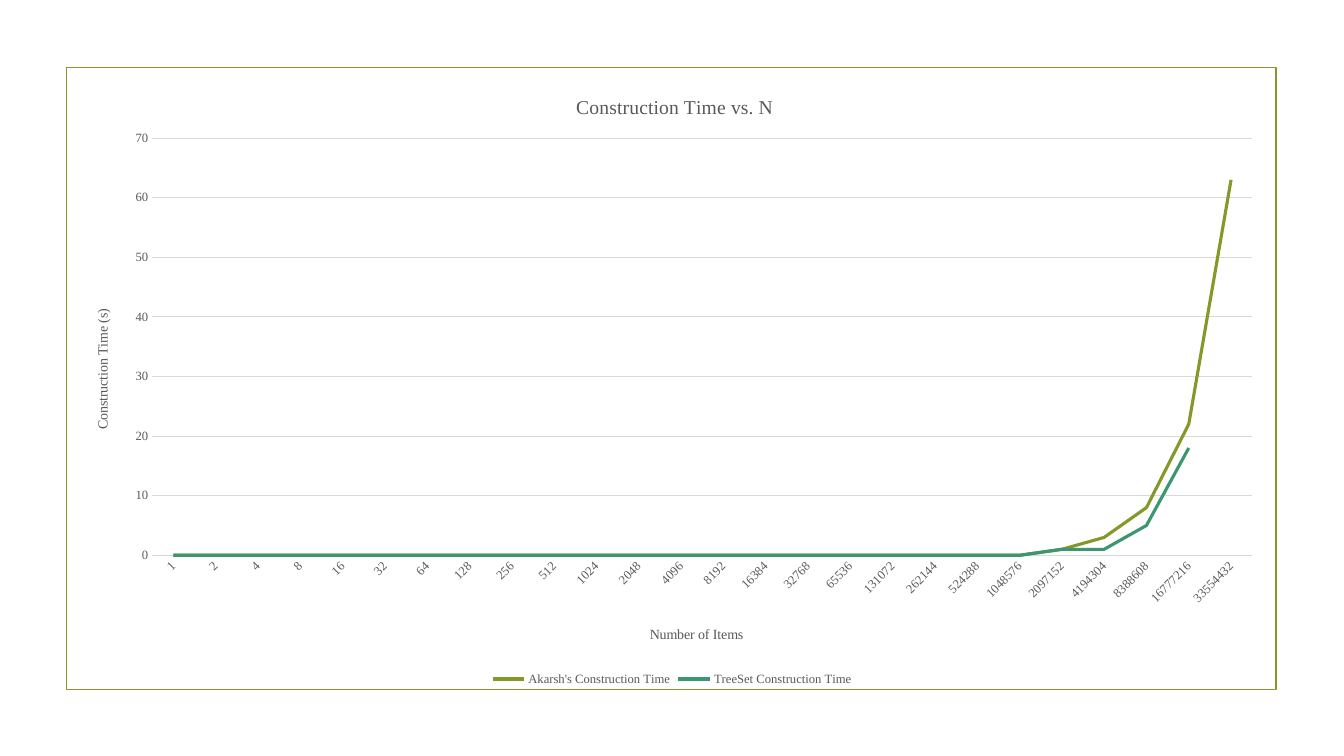
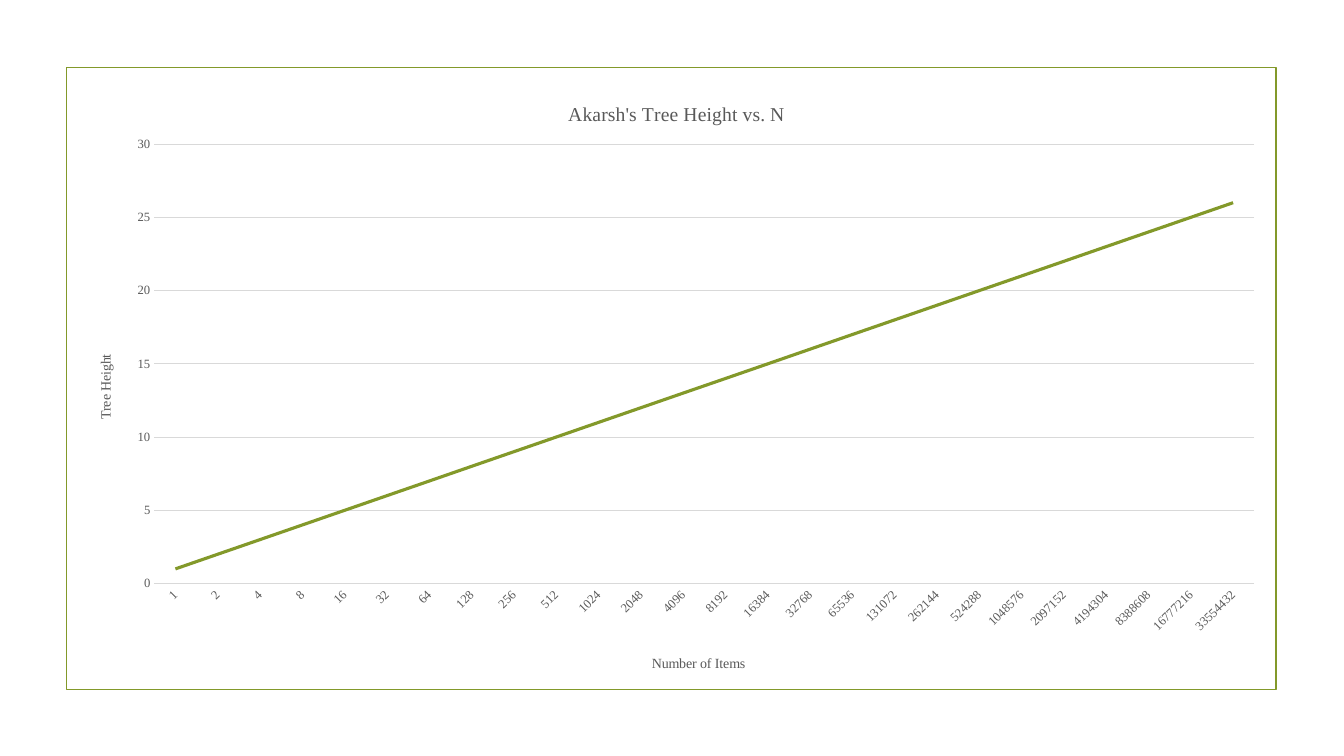
from lxml.etree import SubElement
from pptx import Presentation
from pptx.chart.data import CategoryChartData
from pptx.dml.color import RGBColor
from pptx.enum.chart import XL_CHART_TYPE as CHART, XL_LEGEND_POSITION as LEGEND
from pptx.enum.chart import XL_MARKER_STYLE as MARKER, XL_TICK_MARK as TICK
from pptx.enum.shapes import MSO_SHAPE as SHAPE
from pptx.oxml.ns import qn
from pptx.util import Emu, Pt

SCALE = 9144  # 100 px to the inch


def px(n):
    return Emu(n * SCALE)


def rgb(code):
    return RGBColor.from_string(code)


class Deck:
    """Shared style and the current slide."""
    FONT = "Times New Roman"
    TEXT, GRID = "595959", "D9D9D9"
    COLORS = ["83992A", "3C9770"]
    FRAME = (66, 67, 1200, 617)

    def __init__(self):
        self.prs = Presentation()
        self.prs.slide_width, self.prs.slide_height = px(1333), px(750)

    def slide(self):
        self.s = self.prs.slides.add_slide(self.prs.slide_layouts[6])
        self.frame()

    def frame(self):
        sp = self.s.shapes.add_shape(SHAPE.RECTANGLE, *map(px, self.FRAME))
        sp.shadow.inherit = False
        sp.fill.background()
        self.line(sp.line, self.COLORS[0], 1.25)

    def line(self, line, color, width):
        line.color.rgb = rgb(color)
        line.width = Pt(width)

    def font(self, font, size):
        font.name, font.size, font.bold = self.FONT, Pt(size), False
        font.color.rgb = rgb(self.TEXT)

    def place(self, parent, index, box, size):
        """Fix a chart part at box, in px from the chart's corner."""
        for old in parent.findall(qn("c:layout")):
            parent.remove(old)
        layout = parent.makeelement(qn("c:layout"))
        parent.insert(index, layout)
        manual = SubElement(layout, qn("c:manualLayout"))
        if len(box) == 4:
            SubElement(manual, qn("c:layoutTarget")).set("val", "inner")
        for tag in ("xMode", "yMode"):
            SubElement(manual, qn("c:" + tag)).set("val", "edge")
        for tag, n, total in zip("xywh", box, size * 2):
            SubElement(manual, qn("c:" + tag)).set("val", str(n / total))

    def chart_text(self, title, text, pt, pos, size, rot=0):
        tf = title.text_frame
        r = tf.paragraphs[0].add_run()
        r.text = text
        self.font(r.font, pt)
        body = title._element.find(".//" + qn("a:bodyPr"))
        body.set("rot", str(rot * 60000))
        body.set("vert", "horz")
        self.place(title._element, 1, pos, size)

    def axis(self, axis):
        axis.major_tick_mark = axis.minor_tick_mark = TICK.NONE
        self.font(axis.tick_labels.font, 9)

    def line_chart(self, box, plot, title, x_title, y_title, cats, series, legend=False):
        """Each title is a pair: text and px position inside the chart."""
        data = CategoryChartData()
        data.categories = cats
        for name, values in series:
            data.add_series(name, values)
        chart = self.s.shapes.add_chart(CHART.LINE, *map(px, box), data).chart
        size = box[2:]
        self.font(chart.font, 10)
        self.place(chart._chartSpace.chart.plotArea, 0, plot, size)

        # Titles
        x, y = chart.category_axis, chart.value_axis
        chart.has_title = True
        chart.chart_title.include_in_layout = False
        self.chart_text(chart.chart_title, title[0], 14, title[1], size)
        self.chart_text(x.axis_title, x_title[0], 10, x_title[1], size)
        self.chart_text(y.axis_title, y_title[0], 10, y_title[1], size, rot=-90)

        # Axes
        self.axis(x)
        self.axis(y)
        self.line(x.format.line, self.GRID, 0.75)
        x._element.find(qn("c:txPr")).find(qn("a:bodyPr")).set("rot", str(-45 * 60000))
        y.format.line.fill.background()
        y.has_major_gridlines = True
        self.line(y.major_gridlines.format.line, self.GRID, 0.75)

        # Series and legend
        chart.plots[0].vary_by_categories = False
        for ser, color in zip(chart.plots[0].series, self.COLORS):
            ser.smooth = False
            ser.marker.style = MARKER.NONE
            self.line(ser.format.line, color, 2.25)
        chart.has_legend = legend
        if legend:
            chart.legend.position = LEGEND.BOTTOM
            chart.legend.include_in_layout = False
            self.font(chart.legend.font, 9)


def main():
    deck = Deck()
    items = [str(2 ** n) for n in range(26)]

    # Construction time
    deck.slide()
    deck.line_chart(
        (67, 68, 1199, 617), (84, 69, 1091, 414),
        ("Construction Time vs. N", (501, 22)),
        ("Number of Items", (575, 550)),
        ("Construction Time (s)", (23, 236)),
        items,
        [("Akarsh's Construction Time", [0] * 21 + [1, 3, 8, 22, 63]),
         ("TreeSet Construction Time", [0] * 21 + [1, 1, 5, 18, None])],
        legend=True)

    # Tree height
    deck.slide()
    deck.line_chart(
        (69, 74, 1199, 609), (84, 69, 1091, 436),
        ("Akarsh's Tree Height vs. N", (491, 23)),
        ("Number of Items", (575, 572)),
        ("Tree Height", (24, 275)),
        items, [("Series 1", range(1, 27))])

    deck.prs.save("out.pptx")


if __name__ == "__main__":
    main()
